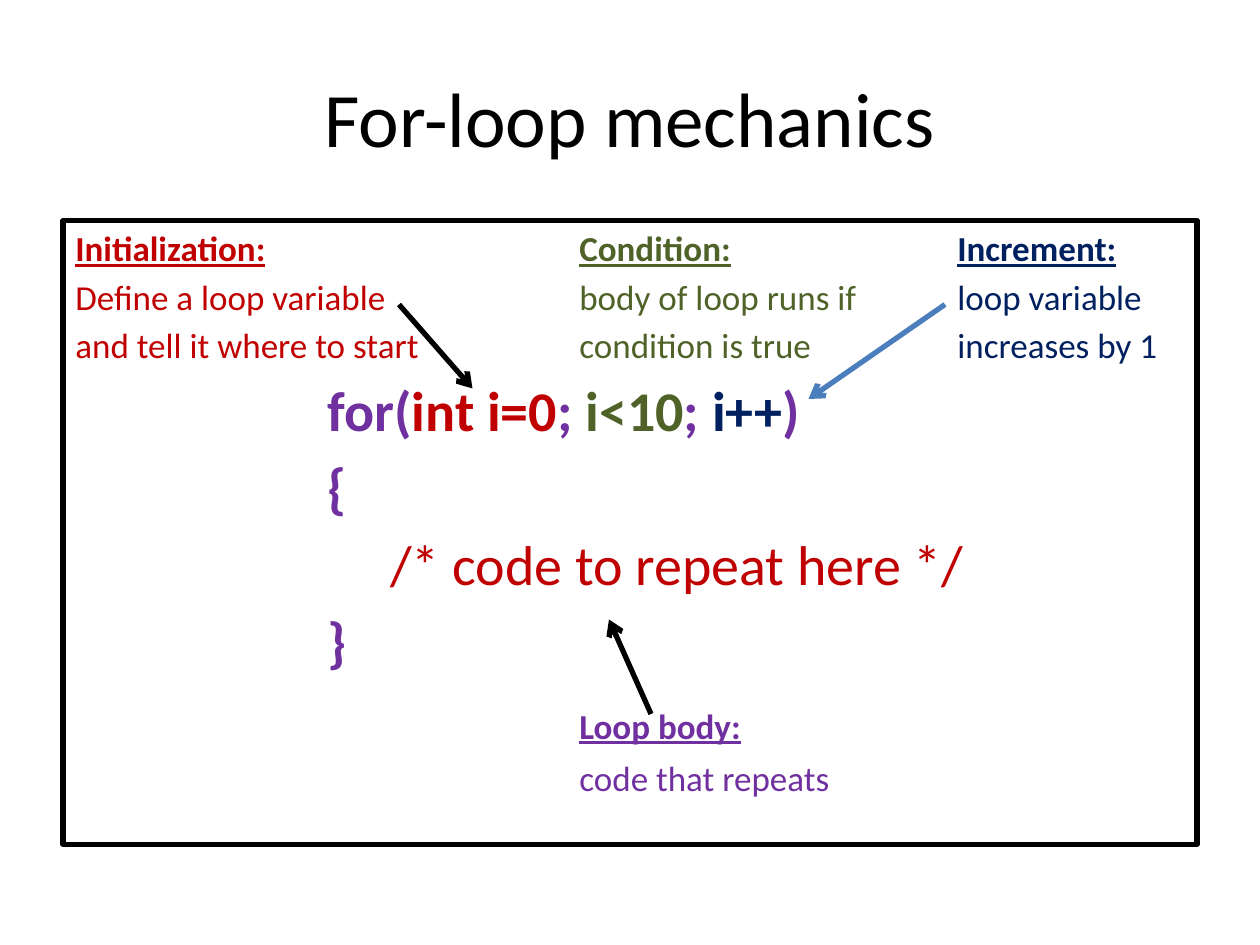
from typing import NamedTuple

from lxml.etree import SubElement
from pptx import Presentation
from pptx.dml.color import RGBColor
from pptx.enum.shapes import MSO_CONNECTOR, MSO_SHAPE
from pptx.enum.text import MSO_ANCHOR, PP_ALIGN
from pptx.oxml.ns import qn
from pptx.util import Emu, Inches, Pt

COLUMNS, ROWS = 120, 90  # square grid cells, twelve to the inch
CELL = Inches(10) // COLUMNS

BLACK, RED, GREEN = "000000", "C00000", "4F6228"
NAVY, PURPLE, BLUE = "002060", "7030A0", "4B7EBC"

HEADING = {"size": Pt(20), "bold": True, "underline": True}
NOTE = {"size": Pt(20), "bold": False, "underline": False}
CODE = {"size": Pt(32), "bold": True}
COMMENT = {"size": Pt(32), "bold": False}
TITLE = {"size": Pt(44)}

# Left edges inside the frame, in grid columns
CODE_INDENT, COMMENT_INDENT = 24, 30
CONDITION_TAB, INCREMENT_TAB = 48, 84


class Piece(NamedTuple):
    text: str
    color: str
    format: dict


class Line(NamedTuple):
    pieces: list[Piece]
    space_before: float = 0
    indent: int = 0
    tabs: tuple[int, ...] = ()
    alignment: PP_ALIGN = PP_ALIGN.LEFT


class Arrow(NamedTuple):
    start: tuple[int, int]
    end: tuple[int, int]
    color: str


def grid(cells: float) -> Emu:
    return Emu(round(cells * CELL))


def rgb(color: str) -> RGBColor:
    return RGBColor.from_string(color)


def tabbed(texts: list[str], format: dict, space_before: float) -> Line:
    """One row of the three explanations, aligned on the tab stops."""
    pieces = []
    for text, color in zip(texts, (RED, GREEN, NAVY)):
        if pieces:
            pieces.append(Piece("\t", BLACK, NOTE))
        pieces.append(Piece(text, color, format))
    return Line(pieces, space_before, tabs=(CONDITION_TAB, INCREMENT_TAB))


def write_lines(shape, lines: list[Line], anchor: MSO_ANCHOR) -> None:
    frame = shape.text_frame
    frame.word_wrap = True
    frame.vertical_anchor = anchor
    for index, line in enumerate(lines):
        paragraph = frame.add_paragraph() if index else frame.paragraphs[0]
        paragraph.alignment = line.alignment
        paragraph.space_before = Pt(line.space_before)
        properties = paragraph._p.get_or_add_pPr()
        properties.set("marL", str(grid(line.indent)))
        if line.tabs:
            tab_list = SubElement(properties, qn("a:tabLst"))
            for tab in line.tabs:
                SubElement(tab_list, qn("a:tab"), pos=str(grid(tab)), algn="l")
        for piece in line.pieces:
            run = paragraph.add_run()
            run.text = piece.text
            run.font.name = "Calibri"
            run.font.color.rgb = rgb(piece.color)
            for name, value in piece.format.items():
                setattr(run.font, name, value)


def draw_arrow(slide, arrow: Arrow) -> None:
    points = [grid(cells) for cells in (*arrow.start, *arrow.end)]
    connector = slide.shapes.add_connector(MSO_CONNECTOR.STRAIGHT, *points)
    connector.line.color.rgb = rgb(arrow.color)
    connector.line.width = Pt(3)
    SubElement(connector.line._get_or_add_ln(), qn("a:tailEnd"), type="arrow")
    SubElement(connector._element.spPr, qn("a:effectLst"))


TITLE_LINES = [
    Line([Piece("For-loop mechanics", BLACK, TITLE)], alignment=PP_ALIGN.CENTER)
]

BODY_LINES = [
    # Explanations of the three loop parts
    tabbed(["Initialization:", "Condition:", "Increment:"], HEADING, 0),
    tabbed(["Define a loop variable", "body of loop runs if", "loop variable"], NOTE, 3.6),
    tabbed(["and tell it where to start", "condition is true", "increases by 1"], NOTE, 3.6),
    # The loop itself
    Line(
        [
            Piece("for(", PURPLE, CODE),
            Piece("int i=0", RED, CODE),
            Piece("; ", PURPLE, CODE),
            Piece("i<10", GREEN, CODE),
            Piece("; ", PURPLE, CODE),
            Piece("i++", NAVY, CODE),
            Piece(")", PURPLE, CODE),
        ],
        5.7,
        CODE_INDENT,
    ),
    Line([Piece("{", PURPLE, CODE)], 5.7, CODE_INDENT),
    Line([Piece("/* code to repeat here */", RED, COMMENT)], 5.7, COMMENT_INDENT),
    Line([Piece("}", PURPLE, CODE)], 5.7, CODE_INDENT),
    # Explanation of the body
    Line([Piece("Loop body:", PURPLE, HEADING)], 17.2, CONDITION_TAB),
    Line([Piece("code that repeats", PURPLE, NOTE)], 5.9, CONDITION_TAB),
]

ARROWS = [
    Arrow((38, 29), (45, 37), BLACK),
    Arrow((90, 29), (77, 38), BLUE),
    Arrow((62, 68), (58, 59), BLACK),
]


def main() -> None:
    presentation = Presentation()
    presentation.slide_width = grid(COLUMNS)
    presentation.slide_height = grid(ROWS)
    slide = presentation.slides.add_slide(presentation.slide_layouts[6])

    # Title
    title = slide.shapes.add_textbox(grid(6), grid(3.6), grid(108), grid(15))
    write_lines(title, TITLE_LINES, MSO_ANCHOR.MIDDLE)

    # Framed loop with its explanations
    body = slide.shapes.add_shape(
        MSO_SHAPE.RECTANGLE, grid(6), grid(21), grid(108), grid(59.4)
    )
    body.shadow.inherit = False
    body.fill.background()
    body.line.color.rgb = rgb(BLACK)
    body.line.width = Pt(3)
    write_lines(body, BODY_LINES, MSO_ANCHOR.TOP)

    # Arrows from explanations to code
    for arrow in ARROWS:
        draw_arrow(slide, arrow)

    presentation.save("out.pptx")


if __name__ == "__main__":
    main()
